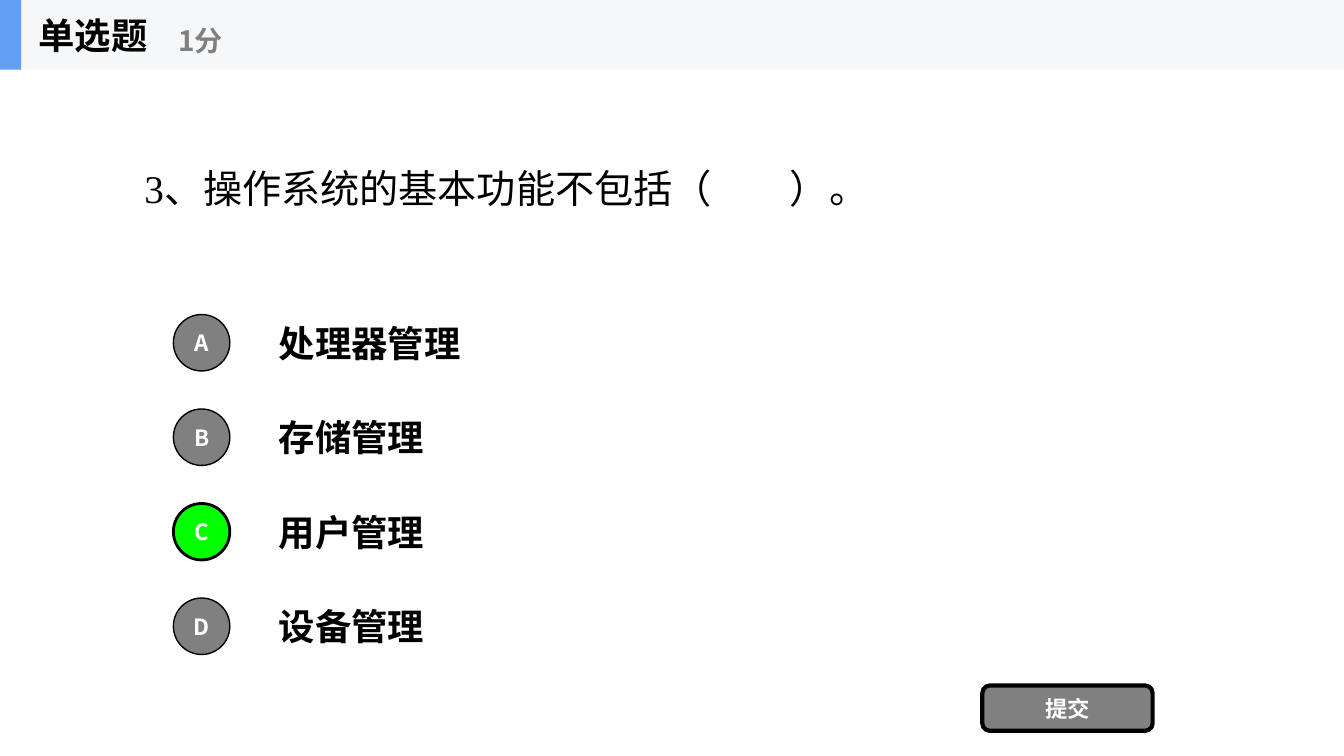
from dataclasses import dataclass

from lxml import etree
from pptx import Presentation
from pptx import util as u
from pptx.dml.color import RGBColor
from pptx.enum import shapes, text
from pptx.oxml import ns


@dataclass(frozen=True)
class Theme:
    black: str = "000000"
    white: str = "FFFFFF"
    grey: str = "808080"
    green: str = "00FF00"
    band: str = "F6F7F8"
    accent: str = "639EF4"
    sans: str = "Noto Sans CJK SC"
    serif: str = "Times New Roman"
    question: int = 28
    heading: int = 26
    score: int = 20
    label: int = 16


class QuizPage:
    def __init__(self, deck, theme):
        self.deck = deck
        self.theme = theme
        self.page = deck.slides.add_slide(deck.slide_layouts[1])

    def area(self, left, top, width, height):
        across, down = self.deck.slide_width / 100, self.deck.slide_height / 100
        return (u.Emu(round(left * across)), u.Emu(round(top * down)),
                u.Emu(round(width * across)), u.Emu(round(height * down)))

    def set_words(self, box, words, size, color, name=None, bold=True,
                  align=text.PP_ALIGN.LEFT):
        frame = box.text_frame
        frame.text = words
        frame.word_wrap = True
        frame.auto_size = text.MSO_AUTO_SIZE.NONE
        frame.vertical_anchor = text.MSO_ANCHOR.MIDDLE
        para = frame.paragraphs[0]
        para.alignment = align
        para.space_before = u.Pt(0)
        properties = para._p.get_or_add_pPr()
        properties.set("marL", "0")
        properties.set("indent", "0")
        etree.SubElement(properties, ns.qn("a:buNone"))
        font = para.font
        font.size, font.bold = u.Pt(size), bold
        font.color.rgb = RGBColor.from_string(color)
        font.name = name or self.theme.sans
        east_asian = etree.SubElement(properties.find(ns.qn("a:defRPr")), ns.qn("a:ea"))
        east_asian.set("typeface", self.theme.sans)

    def placeholder(self, index, place, words, size, **style):
        box = self.page.placeholders[index]
        box.left, box.top, box.width, box.height = self.area(*place)
        self.set_words(box, words, size, self.theme.black, **style)
        self.page.shapes._spTree.append(box._element)

    def label(self, place, words, size, color):
        box = self.page.shapes.add_textbox(*self.area(*place))
        self.set_words(box, words, size, color)

    def shape(self, kind, place, fill, outline=0, words=None):
        box = self.page.shapes.add_shape(kind, *self.area(*place))
        box.shadow.inherit = False
        box.fill.solid()
        box.fill.fore_color.rgb = RGBColor.from_string(fill)
        if outline:
            box.line.color.rgb = RGBColor.from_string(self.theme.black)
            box.line.width = u.Pt(outline)
        else:
            box.line.fill.background()
        if words:
            self.set_words(box, words, self.theme.label, self.theme.white,
                           align=text.PP_ALIGN.CENTER)

    def option(self, row, letter, words, correct):
        middle = 45.33 + 12.5 * row
        self.label((20, middle - 4.67, 70, 9.33), words, self.theme.heading, self.theme.black)
        self.shape(shapes.MSO_SHAPE.OVAL, (12.9, middle - 3.73, 4.2, 7.47),
                   self.theme.green if correct else self.theme.grey,
                   2 if correct else 1, letter)


def main():
    deck = Presentation()
    deck.slide_width, deck.slide_height = u.Inches(13.34), u.Inches(7.5)
    theme = Theme()
    quiz = QuizPage(deck, theme)
    rectangle = shapes.MSO_SHAPE.RECTANGLE

    quiz.shape(rectangle, (0, 0, 100, 9.2), theme.band)
    quiz.shape(rectangle, (0, 0, 1.57, 9.2), theme.accent)
    quiz.placeholder(0, (2.1, 0, 15.6, 9.2), "单选题", theme.heading)
    quiz.label((12.52, 1.6, 18.74, 7.47), "1分", theme.score, theme.grey)
    quiz.placeholder(1, (10, 9.2, 80, 31.2), "3、操作系统的基本功能不包括（　　）。",
                     theme.question, name=theme.serif, bold=False)

    answers = ["处理器管理", "存储管理", "用户管理", "设备管理"]
    for row, (letter, answer) in enumerate(zip("ABCD", answers)):
        quiz.option(row, letter, answer, letter == "C")
    quiz.shape(shapes.MSO_SHAPE.ROUNDED_RECTANGLE, (73.09, 90.67, 12.67, 6),
               theme.grey, 3, "提交")
    deck.save("out.pptx")


if __name__ == "__main__":
    main()
